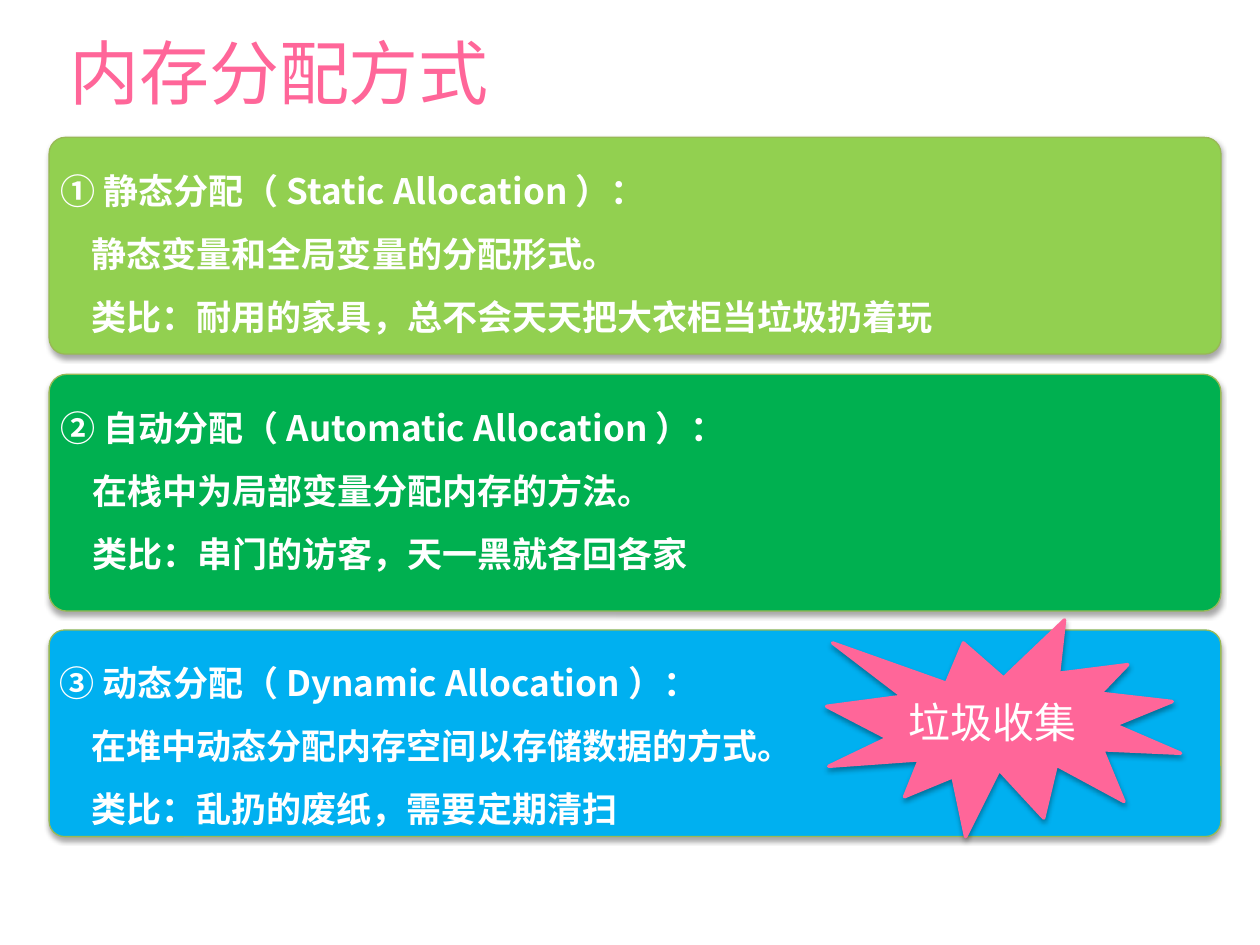
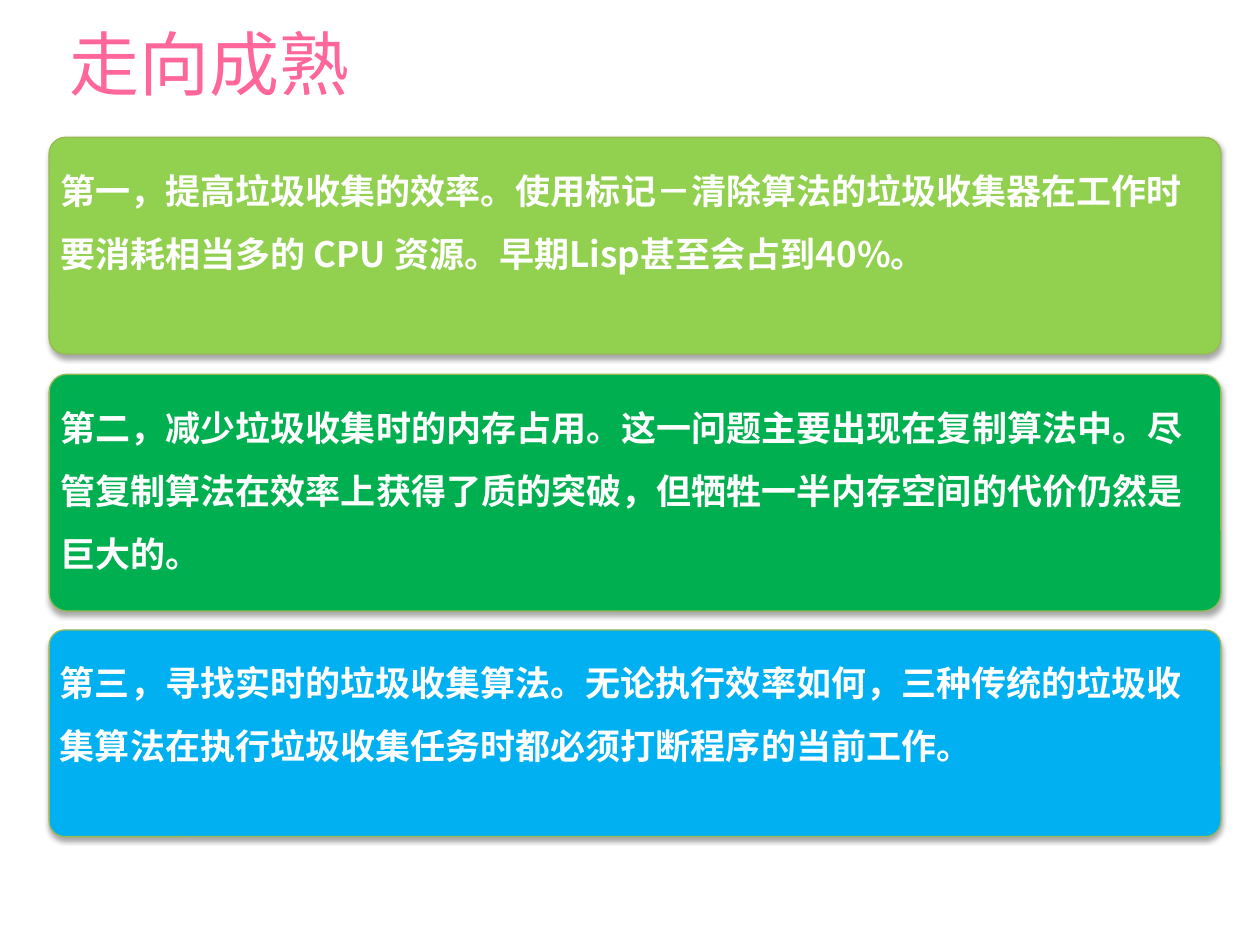
from dataclasses import dataclass

from lxml.etree import SubElement
from pptx import Presentation
from pptx.dml.color import RGBColor
from pptx.enum.shapes import MSO_SHAPE as Preset
from pptx.enum.text import MSO_ANCHOR as Anchor, PP_ALIGN as Align
from pptx.oxml.ns import qn
from pptx.util import Inches, Pt


@dataclass(frozen=True)
class Theme:
    """Colours, font and sizes shared by the slides."""
    font: str = "Noto Sans CJK SC"
    accent: str = "FF6699"
    text: str = "FFFFFF"
    border: str = "98B955"
    shadow: str = "000000"
    panels: tuple = ("92D050", "00B050", "00B0F0")
    title_size: int = 40
    panel_size: int = 20
    burst_size: int = 24
    inset: float = 0.05
    indent: float = 0.25


THEME = Theme()
PANEL_BOXES = ((0.39, 1.09, 9.3, 1.72), (0.39, 2.97, 9.3, 1.88), (0.39, 5, 9.3, 1.64))
BURST_BOX = (6.56, 4.92, 2.81, 1.72)

ALLOCATION_KINDS = (
    ("① 静态分配（ Static Allocation ）：",
     "静态变量和全局变量的分配形式。",
     "类比：耐用的家具，总不会天天把大衣柜当垃圾扔着玩"),
    ("② 自动分配（ Automatic Allocation ）：",
     "在栈中为局部变量分配内存的方法。",
     "类比：串门的访客，天一黑就各回各家"),
    ("③ 动态分配（ Dynamic Allocation ）：",
     "在堆中动态分配内存空间以存储数据的方式。",
     "类比：乱扔的废纸，需要定期清扫"),
)
MATURITY_GOALS = (
    ("第一，提高垃圾收集的效率。使用标记－清除算法的垃圾收集器在工作时"
     "要消耗相当多的 CPU 资源。早期Lisp甚至会占到40%。",),
    ("第二，减少垃圾收集时的内存占用。这一问题主要出现在复制算法中。"
     "尽管复制算法在效率上获得了质的突破，但牺牲一半内存空间的代价仍然是巨大的。",),
    ("第三，寻找实时的垃圾收集算法。无论执行效率如何，三种传统的垃圾"
     "收集算法在执行垃圾收集任务时都必须打断程序的当前工作。",),
)


def inches(box):
    """Convert a box of numbers to lengths."""
    return [Inches(side) for side in box]


def write(frame, lines, size, color, bold=False, spacing=1.0, anchor=Anchor.MIDDLE):
    """Fill a text frame, indenting every line after the first."""
    frame.text = "\n".join(lines)
    frame.word_wrap = True
    frame.vertical_anchor = anchor
    frame.margin_left = frame.margin_right = Inches(THEME.inset)
    frame.margin_top = frame.margin_bottom = Inches(THEME.inset)
    for order, paragraph in enumerate(frame.paragraphs):
        paragraph.alignment = Align.LEFT
        paragraph.line_spacing = spacing
        if order:
            properties = paragraph._p.get_or_add_pPr()
            properties.set("marL", str(Inches(THEME.indent)))
            properties.set("indent", "0")
        for run in paragraph.runs:
            run.font.size = Pt(size)
            run.font.bold = bold
            run.font.color.rgb = RGBColor.from_string(color)
            run.font.name = THEME.font
            SubElement(run.font._element, qn("a:ea"), typeface=THEME.font)


def add_shadow(shape):
    """Cast a soft shadow straight down."""
    shape.shadow.inherit = False
    effects = shape._element.spPr.find(qn("a:effectLst"))
    outer = SubElement(effects, qn("a:outerShdw"), blurRad=str(Pt(3)),
                       dist=str(Pt(1.8)), dir="5400000", rotWithShape="0")
    tint = SubElement(outer, qn("a:srgbClr"), val=THEME.shadow)
    SubElement(tint, qn("a:alpha"), val="35000")


def add_block(slide, preset, box, fill, border, width):
    """Add a filled, outlined and shadowed shape."""
    block = slide.shapes.add_shape(preset, *inches(box))
    block.fill.solid()
    block.fill.fore_color.rgb = RGBColor.from_string(fill)
    block.line.color.rgb = RGBColor.from_string(border)
    block.line.width = Pt(width)
    add_shadow(block)
    return block


def add_panel(slide, box, fill, lines):
    """Add a rounded panel with its statement."""
    panel = add_block(slide, Preset.ROUNDED_RECTANGLE, box, fill, THEME.border, 0.75)
    panel.adjustments[0] = 0.075
    write(panel.text_frame, lines, THEME.panel_size, THEME.text,
          bold=True, spacing=1.5, anchor=Anchor.TOP)


def add_burst(slide, box, label):
    """Add the starburst callout."""
    burst = add_block(slide, Preset.EXPLOSION1, box, THEME.accent, THEME.accent, 2)
    write(burst.text_frame, [label], THEME.burst_size, THEME.text)


def add_panel_slide(deck, heading, heading_top, statements):
    """Add a slide with a title and three stacked panels."""
    slide = deck.slides.add_slide(deck.slide_layouts[5])
    title = slide.shapes.title
    title.left, title.top, title.width, title.height = inches((0.5, heading_top, 9, 1.45))
    write(title.text_frame, [heading], THEME.title_size, THEME.accent)
    for box, fill, lines in zip(PANEL_BOXES, THEME.panels, statements):
        add_panel(slide, box, fill, lines)
    return slide


def main():
    """Build and save the deck."""
    deck = Presentation()
    deck.slide_width, deck.slide_height = Inches(10), Inches(7.5)
    allocation = add_panel_slide(deck, "内存分配方式", -0.16, ALLOCATION_KINDS)
    add_burst(allocation, BURST_BOX, "垃圾收集")
    add_panel_slide(deck, "走向成熟", -0.23, MATURITY_GOALS)
    deck.save("out.pptx")


if __name__ == "__main__":
    main()
